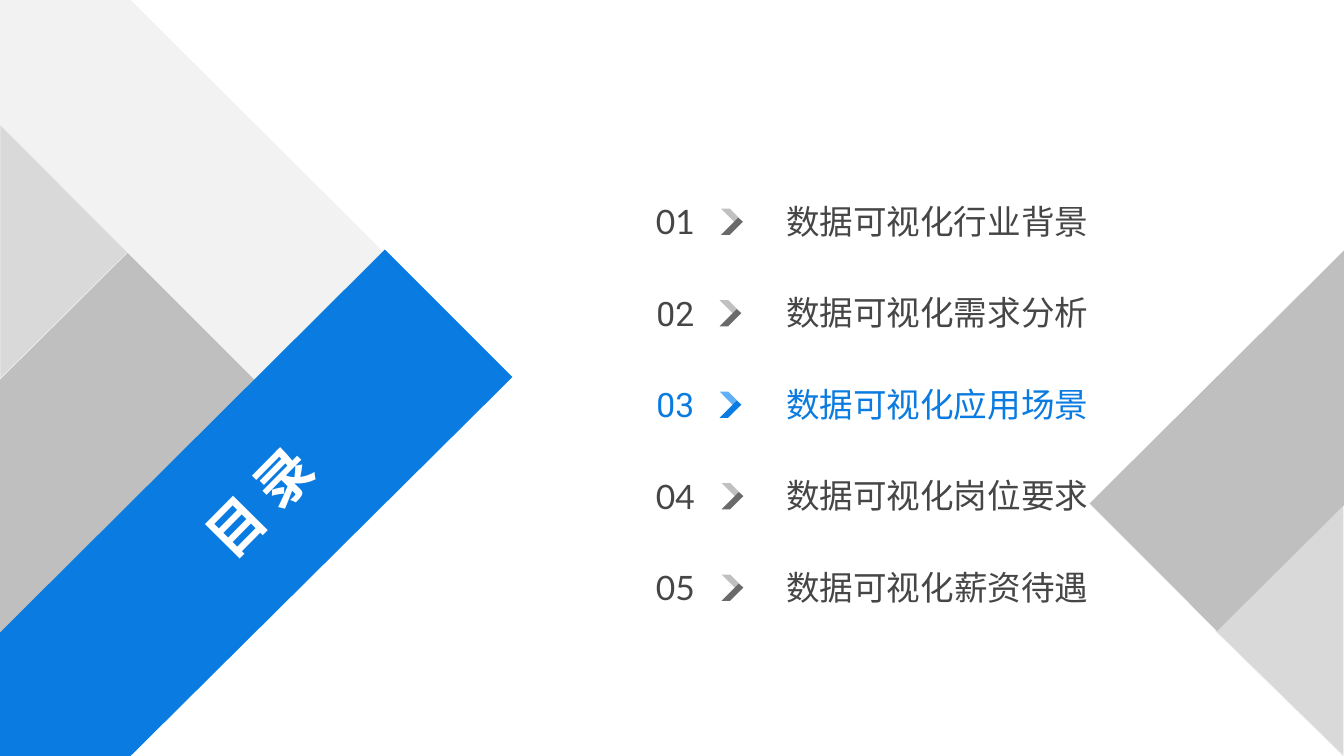
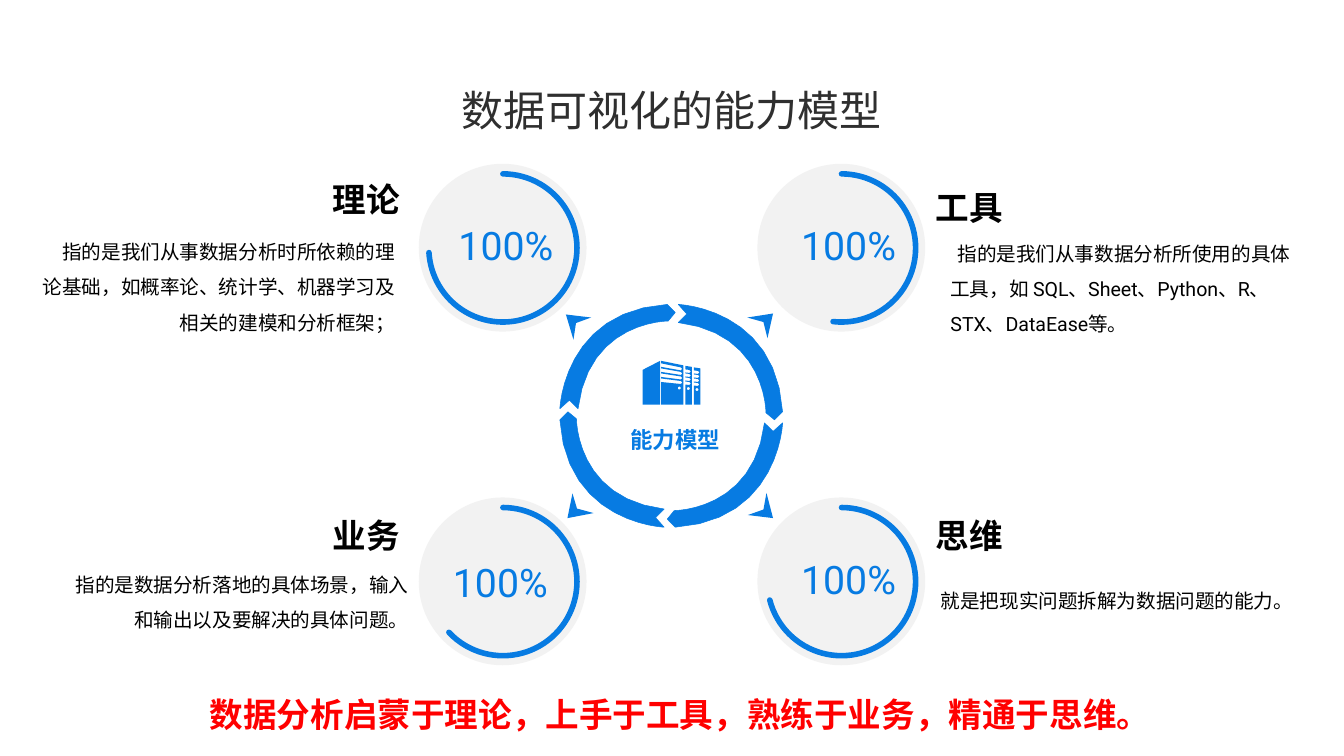
import math

import pptx
import pptx.dml.color
import pptx.enum.shapes
import pptx.enum.text
import pptx.oxml.ns
import pptx.util
from pptx.util import Inches

ALIGN = pptx.enum.text.PP_ALIGN
ANCHOR = pptx.enum.text.MSO_ANCHOR
SHAPES = pptx.enum.shapes.MSO_SHAPE

BLUE = "0A7BE0"
MODEL_BLUE = "077BE2"
PALE, LIGHT, GREY = "F2F2F2", "D9D9D9", "BFBFBF"
BODY = "464646"
BLACK = "000000"
WIDE_INSETS = (0.2, 0.1)


def color(hex_string):
    return pptx.dml.color.RGBColor.from_string(hex_string)


def bezier(start, curve, steps=12):
    first, second, end = curve
    points = []
    for step in range(1, steps + 1):
        t = step / steps
        u = 1 - t
        points.append(tuple(
            u ** 3 * a + 3 * u * u * t * b + 3 * u * t * t * c + t ** 3 * d
            for a, b, c, d in zip(start, first, second, end)))
    return points


def quarter_turn(points, center):
    x0, y0 = center
    return [(x0 - (y - y0), y0 + (x - x0)) for x, y in points]


class Deck:
    def __init__(self, width, height):
        self.presentation = pptx.Presentation()
        self.presentation.slide_width = Inches(width)
        self.presentation.slide_height = Inches(height)
        self.slide = None

    def new_slide(self):
        self.slide = self.presentation.slides.add_slide(self.presentation.slide_layouts[6])
        self.slide.background.fill.solid()
        self.slide.background.fill.fore_color.rgb = color("FFFFFF")

    def paint(self, shape, fill=None, line=None, weight=0.75):
        shape.shadow.inherit = False
        if fill:
            shape.fill.solid()
            shape.fill.fore_color.rgb = color(fill)
        else:
            shape.fill.background()
        if line:
            shape.line.color.rgb = color(line)
            shape.line.width = pptx.util.Pt(weight)
        else:
            shape.line.fill.background()

    def outline(self, contours, fill, line=None):
        scaled = [[(Inches(x), Inches(y)) for x, y in contour] for contour in contours]
        builder = self.slide.shapes.build_freeform(*scaled[0][0])
        builder.add_line_segments(scaled[0][1:], close=True)
        for contour in scaled[1:]:
            builder.move_to(*contour[0])
            builder.add_line_segments(contour[1:], close=True)
        self.paint(builder.convert_to_shape(), fill, line)

    def disc(self, left, top, size, fill):
        shape = self.slide.shapes.add_shape(
            SHAPES.OVAL, Inches(left), Inches(top), Inches(size), Inches(size))
        self.paint(shape, fill)

    def arc(self, left, top, size, end_degrees, line, weight):
        shape = self.slide.shapes.add_shape(
            SHAPES.ARC, Inches(left), Inches(top), Inches(size), Inches(size))
        shape.adjustments[0] = 270 * 0.6
        shape.adjustments[1] = end_degrees * 0.6
        self.paint(shape, None, line, weight)
        shape.element.spPr.find(pptx.oxml.ns.qn("a:ln")).set("cap", "rnd")

    def text(self, words, box, size, font, hex_color, align=ALIGN.LEFT, anchor=ANCHOR.TOP,
             bold=False, insets=(0.1, 0.05), indent=0.14, spacing=None, rotation=0):
        shape = self.slide.shapes.add_textbox(*[Inches(value) for value in box])
        shape.rotation = rotation
        frame = shape.text_frame
        frame.word_wrap = True
        frame.vertical_anchor = anchor
        frame.margin_left = frame.margin_right = Inches(insets[0])
        frame.margin_top = frame.margin_bottom = Inches(insets[1])
        paragraph = frame.paragraphs[0]
        paragraph.alignment = align
        if indent:
            properties = paragraph._p.get_or_add_pPr()
            properties.set("marL", "0")
            properties.set("indent", str(Inches(indent)))
        if spacing:
            paragraph.line_spacing = spacing
        run = paragraph.add_run()
        run.text = words
        run.font.size = pptx.util.Pt(size)
        run.font.name = font
        run.font.bold = bold
        run.font.color.rgb = color(hex_color)

    def chevron(self, left, top, upper, lower):
        half = [(0, 0), (0.34, 0.34), (0.43, 0.26), (0.17, 0)]
        self.outline([[(left + x, top + y) for x, y in half]], upper)
        self.outline([[(left + x, top + 0.52 - y) for x, y in half]], lower)


def build_contents(deck):
    deck.new_slide()
    deck.outline([[(2.55, 4.99), (5.08, 7.52), (0, 12.58), (0, 7.53)]], GREY)
    deck.outline([[(0, 2.45), (2.55, 4.99), (0, 7.52)]], LIGHT, PALE)
    deck.outline([[(0, 0), (2.59, 0), (7.64, 5.03), (5.09, 7.57), (0, 2.48)]], PALE)
    deck.outline([[(7.64, 4.95), (10.17, 7.48), (2.59, 15), (0, 15), (0, 12.55)]], BLUE)
    deck.text("目 录", (0.32, 8.64, 9.54, 2.7), 80, "Lato", "FFFFFF", ALIGN.CENTER,
              ANCHOR.MIDDLE, bold=True, rotation=314.7)

    chapters = [
        ("数据可视化行业背景", 8.24, 14.31, "Lato", "Roboto"),
        ("数据可视化需求分析", 9.03, 14.28, "Roboto", "Roboto"),
        ("数据可视化应用场景", 8.24, 14.28, "Roboto", "Roboto"),
        ("数据可视化岗位要求", 8.24, 14.32, "Lato", "Lato"),
        ("数据可视化薪资待遇", 9.25, 14.32, "Lato", "Lato"),
    ]
    current = 2
    for index, (label, width, arrow_left, number_font, label_font) in enumerate(chapters):
        offset = index * 1.815
        active = index == current
        ink = BLUE if active else BODY
        deck.text(f"{index + 1:02d}", (12.52, 3.58 + offset, 1.62, 1.62), 48, number_font,
                  ink, ALIGN.CENTER, ANCHOR.MIDDLE)
        deck.text(label, (15.36, 3.44 + offset, width, 1.89), 48, label_font, ink,
                  anchor=ANCHOR.MIDDLE)
        arrow_colors = ("60B0F8", BLUE) if active else ("C0C0C0", "6A6A6A")
        deck.chevron(arrow_left, 4.14 + offset, *arrow_colors)

    deck.outline([[(26.66, 15), (24.12, 12.52), (26.66, 9.98)]], LIGHT, PALE)
    deck.outline([[(24.15, 12.52), (21.62, 9.99), (26.67, 4.97), (26.67, 10.02)]], GREY)


def draw_ring(deck):
    start, inner = (11.11, 8.11), (13.26, 6.37)
    segment = [start]
    segment += bezier(start, [start, (11.18, 6.17), (13.24, 6.04)])
    segment += [(13.4, 6.2), inner]
    segment += bezier(inner, [inner, (11.68, 6.36), (11.47, 8.11)])
    segment.append((11.3, 7.94))
    for _ in range(4):
        deck.outline([segment], MODEL_BLUE, MODEL_BLUE)
        segment = quarter_turn(segment, (13.32, 8.25))

    pointers = [
        [(11.38, 6.74), (11.23, 6.24), (11.73, 6.3), (11.43, 6.41)],
        [(14.83, 6.3), (15.34, 6.22), (15.23, 6.71), (15.15, 6.39)],
        [(11.78, 10.18), (11.26, 10.28), (11.36, 9.79), (11.45, 10.09)],
        [(15.21, 9.78), (15.34, 10.28), (14.84, 10.22), (15.15, 10.11)],
    ]
    for pointer in pointers:
        deck.outline([pointer], MODEL_BLUE)


def draw_servers(deck):
    bottom = 8.03
    contours = [[(13.1, 7.16), (13.1, bottom), (12.75, bottom), (12.75, 7.34)]]
    panels = [
        (13.12, 13.56, 7.16, 7.25, (7.58, 7.62, 7.56, 7.51), 0.1, 0.09),
        (13.6, 13.73, 7.26, 7.28, (7.63, 7.64, 7.58, 7.57), 0.08, 0.08),
        (13.77, 13.9, 7.29, 7.31, (7.65, 7.66, 7.6, 7.59), 0.08, 0.08),
    ]
    for left, right, top_left, top_right, slot, left_step, right_step in panels:
        panel = [(left, top_left), (right, top_right), (right, bottom), (left, bottom)]
        low_left, low_right, high_right, high_left = slot
        for row in range(4):
            rise_left, rise_right = row * left_step, row * right_step
            panel += [
                (left, low_left - rise_left),
                (right - 0.05, low_right - rise_right),
                (right - 0.02, (low_right + high_right) / 2 - rise_right),
                (right - 0.05, high_right - rise_right),
                (left, high_left - rise_left),
            ]
        contours.append(panel)
    for x, y in [(13.48, 7.7), (13.66, 7.71), (13.83, 7.73)]:
        turns = [math.tau * step / 12 for step in range(12)]
        contours.append([(x + 0.03 * math.cos(a), y + 0.03 * math.sin(a)) for a in turns])
    deck.outline(contours, MODEL_BLUE)


def build_model(deck):
    deck.new_slide()
    deck.text("数据可视化的能力模型", (7.08, 1.57, 12.5, 1.21), 60, "Lato", "2F2F2F",
              ALIGN.CENTER, insets=(0.1, 0.1), indent=0)
    deck.text("数据分析启蒙于理论，上手于工具，熟练于业务，精通于思维。",
              (0.09, 13.71, 26.67, 0.91), 48, "Calibri", "FF0000", ALIGN.CENTER, bold=True)
    draw_ring(deck)

    abilities = [
        ("理论", "指的是我们从事数据分析时所依赖的理论基础，如概率论、统计学、机器学习及相关的建模和分析框架；",
         (8.31, 3.25), 176.4, (1.13, 3.51), (0.52, 4.22, 7.52, 2.51), (8.86, 4.34, 2.56)),
        ("工具", "指的是我们从事数据分析所使用的具体工具，如 SQL、Sheet、Python、R、STX、DataEase等。",
         (15.03, 3.25), 96.56, (18.33, 3.65), (18.66, 4.34, 7.52, 2.42), (15.66, 4.34, 2.48)),
        ("业务", "指的是数据分析落地的具体场景，输入和输出以及要解决的具体问题。",
         (8.31, 9.87), 136.8, (1.13, 10.17), (0.78, 11.12, 7.52, 1.51), (8.75, 11.03, 2.61)),
        ("思维", "就是把现实问题拆解为数据问题的能力。",
         (15.03, 9.87), 165.6, (18.33, 10.17), (18.33, 11.38, 7.52, 0.87), (15.66, 10.97, 2.51)),
    ]
    for name, details, (left, top), end, name_at, details_box, percent_box in abilities:
        align = ALIGN.RIGHT if name_at[0] < left else ALIGN.LEFT
        deck.disc(left, top, 3.33, PALE)
        deck.arc(left + 0.2, top + 0.2, 2.94, end, MODEL_BLUE, 8)
        deck.text(name, (*name_at, 6.9, 0.91), 48, "Roboto", BLACK, align, bold=True)
        deck.text(details, details_box, 28, "Roboto", BLACK, align, ANCHOR.BOTTOM,
                  insets=WIDE_INSETS, spacing=1.5)
        deck.text("100%", (*percent_box, 1.04), 56, "Roboto", MODEL_BLUE)

    deck.text("能力模型", (11.28, 8.26, 4.1, 0.92), 32, "Roboto", MODEL_BLUE, ALIGN.CENTER,
              ANCHOR.MIDDLE, bold=True, insets=WIDE_INSETS)
    draw_servers(deck)


def main():
    deck = Deck(26.67, 15)
    build_contents(deck)
    build_model(deck)
    deck.presentation.save("out.pptx")


if __name__ == "__main__":
    main()
